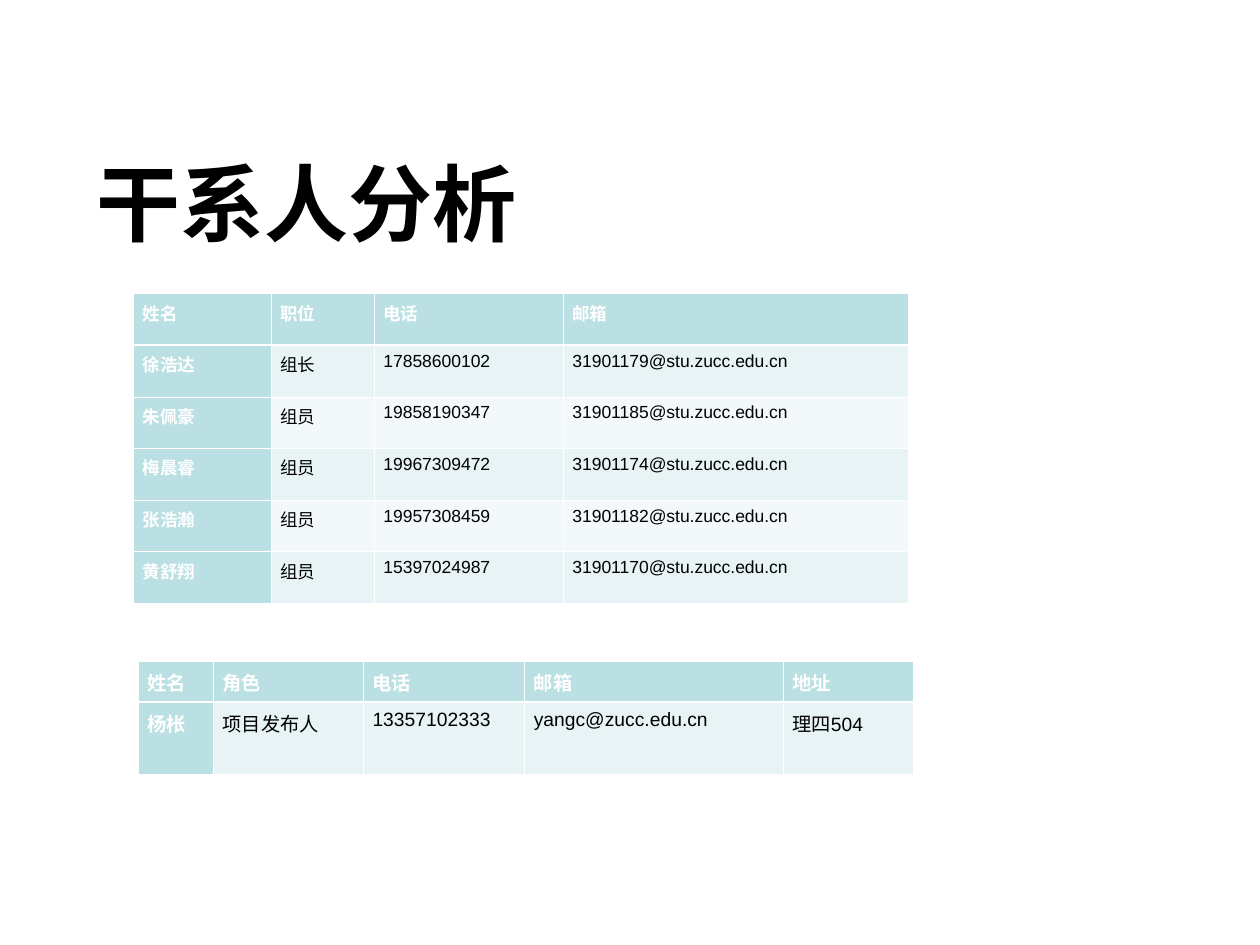
from lxml.etree import SubElement
from pptx import Presentation
from pptx.dml.color import RGBColor
from pptx.enum.text import MSO_ANCHOR as Anchor, PP_ALIGN as Align
from pptx.oxml.ns import qn
from pptx.util import Cm, Pt

WHITE = RGBColor(0xFF, 0xFF, 0xFF)
BLACK = RGBColor(0, 0, 0)
HEADING = RGBColor(0xBB, 0xE0, 0xE3)
BANDS = (RGBColor(0xF3, 0xF9, 0xFA), RGBColor(0xE7, 0xF3, 0xF4))
THIN, THICK = Pt(0.45), Pt(1.47)

TEAM = (
    ("姓名", "职位", "电话", "邮箱"),
    ("徐浩达", "组长", "17858600102", "31901179@stu.zucc.edu.cn"),
    ("朱佩豪", "组员", "19858190347", "31901185@stu.zucc.edu.cn"),
    ("梅晨睿", "组员", "19967309472", "31901174@stu.zucc.edu.cn"),
    ("张浩瀚", "组员", "19957308459", "31901182@stu.zucc.edu.cn"),
    ("黄舒翔", "组员", "15397024987", "31901170@stu.zucc.edu.cn"),
)
PUBLISHER = (
    ("姓名", "角色", "电话", "邮箱", "地址"),
    ("杨枨", "项目发布人", "13357102333", "yangc@zucc.edu.cn", "理四504"),
)


def style_paragraph(para, size, color, bold, typeface):
    """Justify a paragraph and set its font."""
    para.alignment = Align.JUSTIFY
    font = para.font
    font.size, font.bold, font.name = Pt(size), bold, typeface
    font.color.rgb = color


def add_title(page, text, left, top, width, height):
    """Place the title placeholder in the given box and fill it."""
    title = page.shapes.title
    title.left, title.top = Cm(left), Cm(top)
    title.width, title.height = Cm(width), Cm(height)
    frame = title.text_frame
    frame.text = text
    frame.word_wrap = True
    frame.vertical_anchor = Anchor.MIDDLE
    para = frame.paragraphs[0]
    style_paragraph(para, 48, BLACK, True, "Noto Sans CJK SC")
    span_properties = para.runs[0].font._element if hasattr(para.runs[0].font, "_element") else para.runs[0]._r.get_or_add_rPr()
    SubElement(span_properties, qn("a:ea"), typeface="Noto Sans CJK SC")


def add_borders(cell, row_index):
    """Draw white cell borders, thicker between the header and the first row."""
    widths = {
        "L": THIN,
        "R": THIN,
        "T": THICK if row_index == 1 else THIN,
        "B": THICK if row_index == 0 else THIN,
    }
    properties = cell._tc.get_or_add_tcPr()
    for side, width in widths.items():
        line = SubElement(properties, qn(f"a:ln{side}"), w=str(width))
        fill = SubElement(line, qn("a:solidFill"))
        SubElement(fill, qn("a:srgbClr"), val=str(WHITE))


def add_contact_table(page, records, left, top, widths, heights, size, inset):
    """Add a contact table with a header row, a heading column and bands."""
    frame = page.shapes.add_table(
        len(records), len(widths), Cm(left), Cm(top), Cm(sum(widths)), Cm(sum(heights))
    )
    table = frame.table
    table.first_col = True
    for column, width in zip(table.columns, widths):
        column.width = Cm(width)
    for row_index, (row, record) in enumerate(zip(table.rows, records)):
        row.height = Cm(heights[row_index])
        for column_index, (cell, text) in enumerate(zip(row.cells, record)):
            heading = row_index == 0 or column_index == 0
            cell.text = text
            cell.margin_left = cell.margin_right = Cm(inset)
            add_borders(cell, row_index)
            cell.fill.solid()
            cell.fill.fore_color.rgb = HEADING if heading else BANDS[row_index % 2]
            color = WHITE if heading else BLACK
            style_paragraph(cell.text_frame.paragraphs[0], size, color, heading, "Arial")


def main():
    """Build the stakeholder analysis slide."""
    deck = Presentation()
    deck.slide_width, deck.slide_height = Cm(25.4), Cm(19.05)
    page = deck.slides.add_slide(deck.slide_layouts[5])
    add_title(page, "干系人分析", 1.7, 2.92, 9.4, 2.29)
    add_contact_table(
        page, TEAM, 2.69, 5.92, (2.77, 2.08, 3.81, 6.96), (1.04,) * len(TEAM), 10, 0.19
    )
    add_contact_table(
        page, PUBLISHER, 2.79, 13.34, (1.52, 3.02, 3.25, 5.21, 2.62), (0.76, 1.45), 11, 0.18
    )
    deck.save("out.pptx")


if __name__ == "__main__":
    main()
